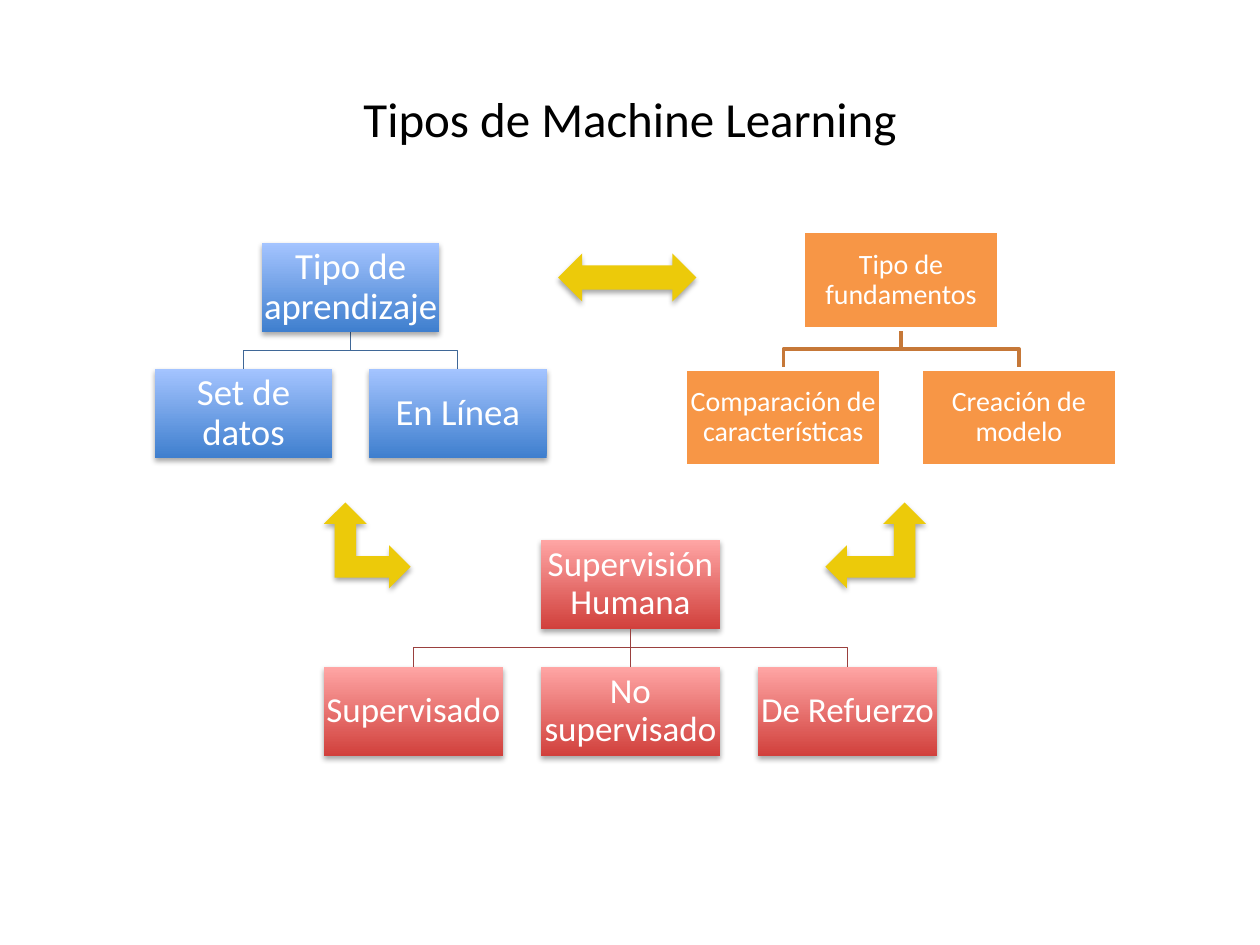
from lxml import etree
from pptx import Presentation
from pptx.dml.color import RGBColor
from pptx.enum.shapes import MSO_CONNECTOR, MSO_SHAPE
from pptx.enum.text import MSO_ANCHOR, PP_ALIGN
from pptx.oxml.ns import qn
from pptx.util import Cm, Pt

RECTANGLE = MSO_SHAPE.RECTANGLE
DOUBLE_ARROW = MSO_SHAPE.LEFT_RIGHT_ARROW
CORNER_ARROW = MSO_SHAPE.LEFT_UP_ARROW
STRAIGHT = MSO_CONNECTOR.STRAIGHT
CENTER = PP_ALIGN.CENTER
MIDDLE = MSO_ANCHOR.MIDDLE
BOTTOM_SITE, TOP_SITE = 2, 0

FONT = "Calibri"
COLORS = {
    "title": "000000",
    "white": "FFFFFF",
    "shadow": "000000",
    "arrow": "ECCA0A",
    "blue_dark": "3F7FCE",
    "blue_light": "A4C4FF",
    "blue_line": "3F6797",
    "red_dark": "D1403C",
    "red_light": "FFA6A5",
    "red_line": "9A403E",
    "orange": "F79646",
    "orange_line": "C67838",
}

# fill: one color, or dark (bottom) and light (top) for a gradient
BLUE = {"fill": ["blue_dark", "blue_light"], "line": "blue_line", "weight": 0.75, "size": 21}
RED = {"fill": ["red_dark", "red_light"], "line": "red_line", "weight": 0.75, "size": 20}
ORANGE = {"fill": ["orange"], "line": "orange_line", "weight": 2, "size": 16}


def rgb(name):
    return RGBColor.from_string(COLORS[name])


def add_soft_shadow(shape):
    effects = shape._element.spPr.find(qn("a:effectLst"))
    shadow = etree.SubElement(effects, qn("a:outerShdw"), blurRad="40000",
                              dist="23000", dir="5400000", rotWithShape="0")
    color = etree.SubElement(shadow, qn("a:srgbClr"), val=COLORS["shadow"])
    etree.SubElement(color, qn("a:alpha"), val="35000")


def style_text(paragraph, size, color):
    paragraph.alignment = CENTER
    paragraph.font.name = FONT
    paragraph.font.size = Pt(size)
    paragraph.font.color.rgb = rgb(color)


def add_title(slide, left, top, width, height, text):
    frame = slide.shapes.add_textbox(Cm(left), Cm(top), Cm(width), Cm(height)).text_frame
    frame.word_wrap = True
    frame.text = text
    style_text(frame.paragraphs[0], 28, "title")


def add_node(slide, left, top, width, height, text, style):
    shape = slide.shapes.add_shape(RECTANGLE, Cm(left), Cm(top), Cm(width), Cm(height))
    shape.shadow.inherit = False
    if len(style["fill"]) == 2:
        shape.fill.gradient()
        shape.fill.gradient_angle = 90
        for stop, color in zip(shape.fill.gradient_stops, style["fill"]):
            stop.color.rgb = rgb(color)
        shape.line.fill.background()
        add_soft_shadow(shape)
    else:
        shape.fill.solid()
        shape.fill.fore_color.rgb = rgb(style["fill"][0])
        shape.line.color.rgb = rgb("white")
        shape.line.width = Pt(2)

    frame = shape.text_frame
    frame.word_wrap = True
    frame.vertical_anchor = MIDDLE
    frame.margin_left = frame.margin_right = Cm(0.03)
    frame.margin_top = frame.margin_bottom = Cm(0.03)
    frame.text = text
    frame.paragraphs[0].line_spacing = 0.9
    style_text(frame.paragraphs[0], style["size"], "white")
    return shape


def style_branch(branch, style):
    branch.line.color.rgb = rgb(style["line"])
    branch.line.width = Pt(style["weight"])


def add_elbow(slide, start_x, start_y, end_x, end_y, style):
    middle_y = (start_y + end_y) / 2
    builder = slide.shapes.build_freeform(Cm(start_x), Cm(start_y))
    corners = [(start_x, middle_y), (end_x, middle_y), (end_x, end_y)]
    builder.add_line_segments([(Cm(x), Cm(y)) for x, y in corners], close=False)
    elbow = builder.convert_to_shape()
    elbow.shadow.inherit = False
    elbow.fill.background()
    style_branch(elbow, style)


def add_tree(slide, left, top, width, height, node_width, node_height, root, children, style):
    """Root centred on top, children spread evenly along the bottom."""
    step = (width - node_width) / (len(children) - 1)
    child_lefts = [left + index * step for index in range(len(children))]
    child_top = top + height - node_height
    center = left + width / 2
    middle_index = len(children) // 2 if len(children) % 2 else None

    # Elbow branches lie behind the nodes
    for index, child_left in enumerate(child_lefts):
        if index != middle_index:
            add_elbow(slide, center, top + node_height,
                      child_left + node_width / 2, child_top, style)

    root_node = add_node(slide, center - node_width / 2, top,
                         node_width, node_height, root, style)
    child_nodes = [add_node(slide, child_left, child_top, node_width, node_height, text, style)
                   for child_left, text in zip(child_lefts, children)]

    # Straight branch to a child right below the root
    if middle_index is not None:
        branch = slide.shapes.add_connector(STRAIGHT, 0, 0, 0, 0)
        branch.begin_connect(root_node, BOTTOM_SITE)
        branch.end_connect(child_nodes[middle_index], TOP_SITE)
        style_branch(branch, style)
        etree.SubElement(branch._element.spPr, qn("a:effectLst"))


def add_arrow(slide, kind, left, top, width, height, flipped=False):
    arrow = slide.shapes.add_shape(kind, Cm(left), Cm(top), Cm(width), Cm(height))
    arrow.shadow.inherit = False
    arrow.fill.solid()
    arrow.fill.fore_color.rgb = rgb("arrow")
    arrow.line.fill.background()
    add_soft_shadow(arrow)
    if flipped:
        arrow._element.spPr.find(qn("a:xfrm")).set("flipH", "1")


def main():
    presentation = Presentation()
    presentation.slide_width = Cm(25.4)
    presentation.slide_height = Cm(19.05)
    slide = presentation.slides.add_slide(presentation.slide_layouts[6])

    add_title(slide, 3.81, 1.65, 17.78, 14.02, "Tipos de Machine Learning")

    # Three classification trees
    add_tree(slide, 6.53, 10.88, 12.36, 4.36, 3.61, 1.8, "Supervisión Humana",
             ["Supervisado", "No supervisado", "De Refuerzo"], RED)
    add_tree(slide, 3.12, 4.9, 7.9, 4.33, 3.58, 1.79, "Tipo de aprendizaje",
             ["Set de datos", "En Línea"], BLUE)
    add_tree(slide, 13.82, 4.67, 8.69, 4.73, 3.94, 1.96, "Tipo de fundamentos",
             ["Comparación de características", "Creación de modelo"], ORANGE)

    # Arrows between the trees
    add_arrow(slide, CORNER_ARROW, 16.64, 10.13, 2.03, 1.73)
    add_arrow(slide, CORNER_ARROW, 6.53, 10.13, 1.75, 1.73, flipped=True)
    add_arrow(slide, DOUBLE_ARROW, 11.25, 5.11, 2.79, 0.97)

    presentation.save("out.pptx")


if __name__ == "__main__":
    main()
